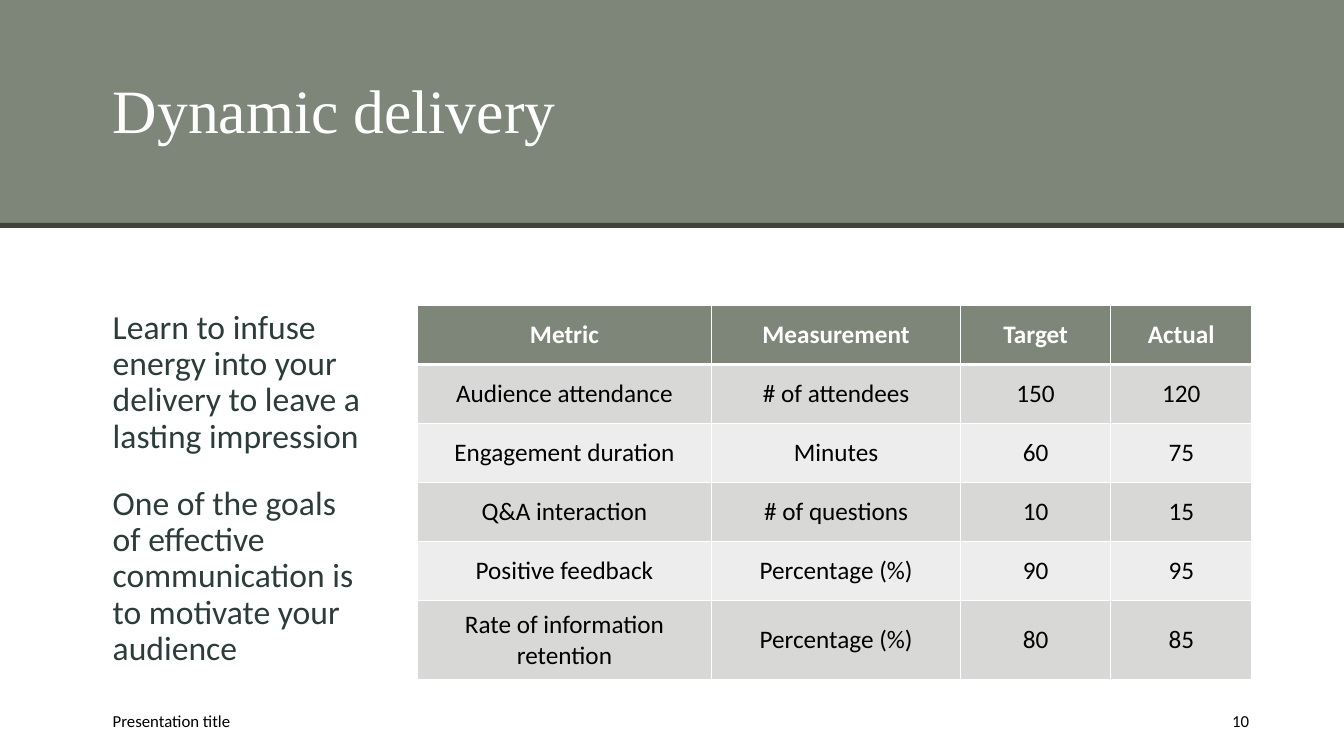
from lxml import etree
from pptx import Presentation
from pptx.dml.color import RGBColor
from pptx.enum.shapes import MSO_SHAPE
from pptx.enum.text import MSO_ANCHOR, PP_ALIGN
from pptx.oxml.ns import qn
from pptx.util import Pt

RECTANGLE = MSO_SHAPE.RECTANGLE
TOP, MIDDLE = MSO_ANCHOR.TOP, MSO_ANCHOR.MIDDLE
LEFT, CENTER, RIGHT = PP_ALIGN.LEFT, PP_ALIGN.CENTER, PP_ALIGN.RIGHT

COLORS = {
    "sage": "7E8679",
    "rule": "3F433C",
    "body": "2C3C3A",
    "band_dark": "D8D9D7",
    "band_light": "ECEDEC",
    "white": "FFFFFF",
    "black": "000000",
}
HEADING_FONT, BODY_FONT = "Times New Roman", "Calibri"

SLIDE_WIDTH, SLIDE_HEIGHT = 960, 540
MARGIN_LEFT = 73.44
CONTENT_TOP = 218.16
FOOTER_TOP, FOOTER_HEIGHT = 500.4, 28.8

MESSAGES = [
    "Learn to infuse energy into your delivery to leave a lasting impression",
    "One of the goals \nof effective communication is to motivate your audience",
]
METRICS = [
    ("Metric", "Measurement", "Target", "Actual"),
    ("Audience attendance", "# of attendees", "150", "120"),
    ("Engagement duration", "Minutes", "60", "75"),
    ("Q&A interaction", "# of questions", "10", "15"),
    ("Positive feedback", "Percentage (%)", "90", "95"),
    ("Rate of information retention", "Percentage (%)", "80", "85"),
]
COLUMN_WIDTHS = [210.24, 177.84, 107.28, 100.8]
ROW_HEIGHTS = [42.2] * 5 + [56.16]


def color(name):
    return RGBColor.from_string(COLORS[name])


def add_band(slide, top, height, fill):
    """Add a full-width coloured rectangle."""
    band = slide.shapes.add_shape(RECTANGLE, 0, Pt(top), Pt(SLIDE_WIDTH), Pt(height))
    band.shadow.inherit = False
    band.fill.solid()
    band.fill.fore_color.rgb = color(fill)
    band.line.fill.background()


def write(paragraph, text, size, text_color, font=BODY_FONT, bold=False):
    """Add the text as runs, with a line break at each newline."""
    for index, line in enumerate(text.split("\n")):
        if index:
            paragraph.add_line_break()
        run = paragraph.add_run()
        run.text = line
        run.font.name = font
        run.font.size = Pt(size)
        run.font.bold = bold
        run.font.color.rgb = color(text_color)


def add_text(slide, box, texts, size, text_color, font=BODY_FONT,
             anchor=MIDDLE, align=LEFT, line_spacing=1.0):
    frame = slide.shapes.add_textbox(*map(Pt, box)).text_frame
    frame.word_wrap = True
    frame.vertical_anchor = anchor
    for index, text in enumerate(texts):
        paragraph = frame.paragraphs[0]
        if index:
            paragraph = frame.add_paragraph()
            paragraph.space_before = Pt(10)
        if len(texts) > 1:
            paragraph.space_after = Pt(12)
        paragraph.alignment = align
        paragraph.line_spacing = line_spacing
        write(paragraph, text, size, text_color, font)


def set_borders(cell, top_width, bottom_width):
    """Give a cell white borders, one point wide at the sides."""
    properties = cell._tc.get_or_add_tcPr()
    widths = {"a:lnL": 1, "a:lnR": 1, "a:lnT": top_width, "a:lnB": bottom_width}
    for index, (tag, width) in enumerate(widths.items()):
        line = etree.Element(qn(tag), w=str(Pt(width)))
        fill = etree.SubElement(line, qn("a:solidFill"))
        etree.SubElement(fill, qn("a:srgbClr"), val=COLORS["white"])
        properties.insert(index, line)


def fill_cell(cell, text, row_index):
    is_header = row_index == 0
    band = "band_dark" if row_index % 2 else "band_light"
    cell.fill.solid()
    cell.fill.fore_color.rgb = color("sage" if is_header else band)
    cell.vertical_anchor = MIDDLE
    paragraph = cell.text_frame.paragraphs[0]
    paragraph.alignment = CENTER
    write(paragraph, text, 18, "white" if is_header else "black", bold=is_header)
    set_borders(cell, 3 if row_index == 1 else 1, 3 if is_header else 1)


def add_metrics_table(slide, left, top):
    table = slide.shapes.add_table(
        len(METRICS), len(COLUMN_WIDTHS), Pt(left), Pt(top),
        Pt(sum(COLUMN_WIDTHS)), Pt(sum(ROW_HEIGHTS))).table
    table.horz_banding = False
    for column, width in zip(table.columns, COLUMN_WIDTHS):
        column.width = Pt(width)
    for row_index, (row, height) in enumerate(zip(table.rows, ROW_HEIGHTS)):
        row.height = Pt(height)
        for cell, text in zip(row.cells, METRICS[row_index]):
            fill_cell(cell, text, row_index)


def main():
    presentation = Presentation()
    presentation.slide_width = Pt(SLIDE_WIDTH)
    presentation.slide_height = Pt(SLIDE_HEIGHT)
    slide = presentation.slides.add_slide(presentation.slide_layouts[6])

    add_band(slide, 0, 161.28, "sage")
    add_band(slide, 159.12, 3.6, "rule")
    add_text(slide, (MARGIN_LEFT, 18, 750.24, 126), ["Dynamic delivery"],
             44, "white", HEADING_FONT, line_spacing=0.9)
    add_text(slide, (MARGIN_LEFT, CONTENT_TOP, 195.84, 275.76), MESSAGES,
             24, "body", anchor=TOP, line_spacing=0.9)
    add_metrics_table(slide, 298.08, CONTENT_TOP)
    add_text(slide, (MARGIN_LEFT, FOOTER_TOP, 324, FOOTER_HEIGHT),
             ["Presentation title"], 12, "black")
    add_text(slide, (837.36, FOOTER_TOP, 61.92, FOOTER_HEIGHT), ["10"],
             12, "black", align=RIGHT)

    presentation.save("out.pptx")


if __name__ == "__main__":
    main()
